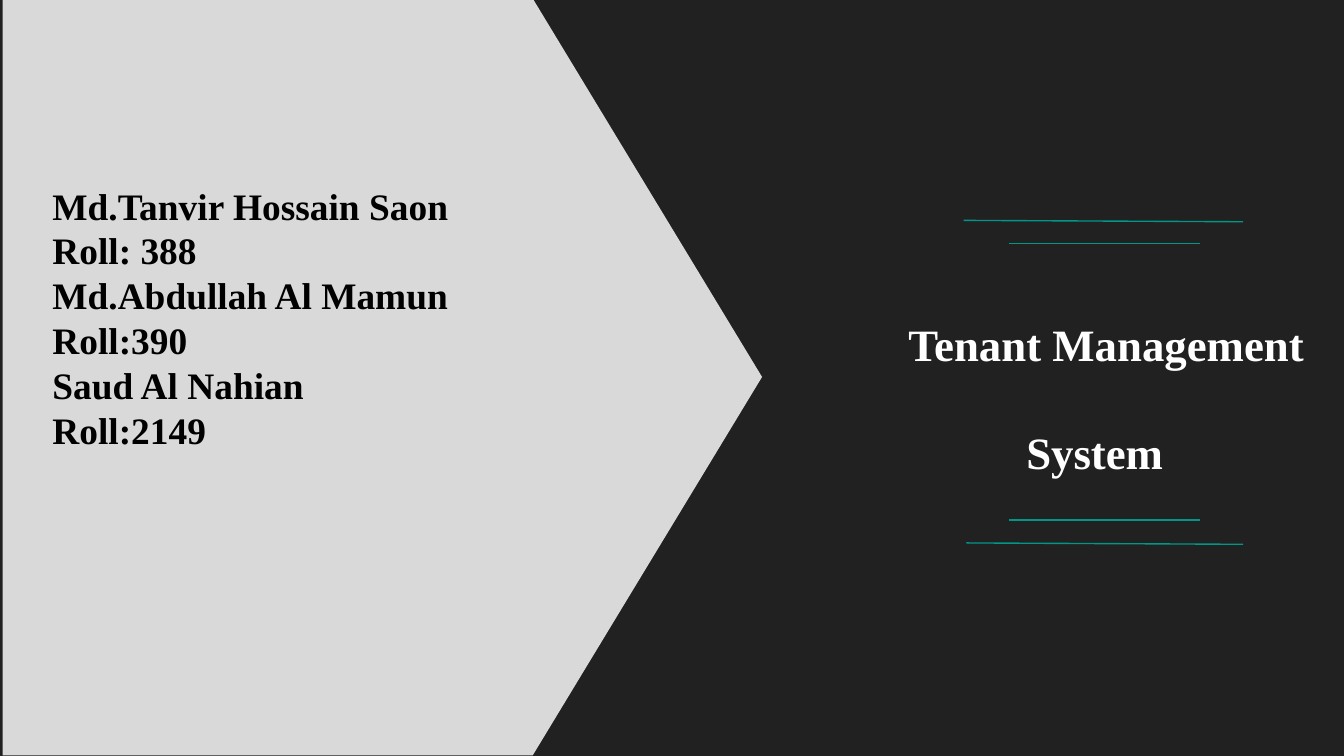
from pptx import Presentation
from pptx import util as u
from pptx.dml.color import RGBColor
from pptx.enum import shapes, text
from pptx.oxml.ns import qn
from lxml import etree

WIDTH = u.Inches(10)
HEIGHT = WIDTH * 9 // 16
DARK = RGBColor(0x21, 0x21, 0x21)
LIGHT = RGBColor(0xD9, 0xD9, 0xD9)
TEAL = RGBColor(0x00, 0x96, 0x88)
WHITE = RGBColor(0xFF, 0xFF, 0xFF)
BLACK = RGBColor(0x00, 0x00, 0x00)

# Rules above and below the title: x1, y1, x2, y2 in hundredths of an inch
RULES = [(751, 181, 893, 181), (751, 387, 893, 387),
         (719, 404, 925, 405), (717, 164, 925, 165)]
MEMBERS = [("Md.Tanvir Hossain Saon", "Roll: 388"),
           ("Md.Abdullah Al Mamun", "Roll:390"),
           ("Saud Al Nahian", "Roll:2149")]


def set_values(target, values):
    for name, value in values.items():
        setattr(target, name, value)


def grid(*units):
    """Turn hundredths of an inch into slide lengths."""
    return [u.Inches(unit / 100) for unit in units]


def add_banner(page):
    banner = page.shapes.add_shape(shapes.MSO_SHAPE.PENTAGON, *grid(2, -1, 565, 563))
    banner.adjustments[0] = 0.303
    banner.shadow.inherit = False
    banner.fill.solid()
    banner.fill.fore_color.rgb = LIGHT
    banner.line.fill.background()


def add_rule(page, ends):
    rule = page.shapes.add_connector(shapes.MSO_CONNECTOR.STRAIGHT, *grid(*ends))
    rule.line.color.rgb = TEAL
    rule.line.width = u.Pt(0.75)
    etree.SubElement(rule._element.spPr, qn("a:effectLst"))


def add_text(page, place, lines, size, color, inset, layout):
    """Add a bold text box with one paragraph per line and return its paragraphs."""
    box = page.shapes.add_textbox(*grid(*place))
    side, edge = grid(7, inset)
    set_values(box.text_frame, {
        "word_wrap": True, "vertical_anchor": text.MSO_ANCHOR.TOP,
        "margin_left": side, "margin_right": side,
        "margin_top": edge, "margin_bottom": edge, "text": "\n".join(lines)})
    for para in box.text_frame.paragraphs:
        set_values(para, layout)
        for span in para.runs:
            set_values(span.font, {"name": "Times New Roman", "size": u.Pt(size), "bold": True})
            span.font.color.rgb = color
    return box.text_frame.paragraphs


def add_title(page):
    first, second = add_text(page, (639, 232, 348, 113), ["Tenant Management", "System"],
                             24, WHITE, 4, {"alignment": text.PP_ALIGN.CENTER})
    first._p.get_or_add_pPr().set("marL", str(u.Inches(0.2)))
    second._p.get_or_add_pPr().set("marL", str(u.Inches(0.03)))
    second.space_before = u.Pt(29)


def main():
    deck = Presentation()
    set_values(deck, {"slide_width": WIDTH, "slide_height": HEIGHT})
    page = deck.slides.add_slide(deck.slide_layouts[6])
    page.background.fill.solid()
    page.background.fill.fore_color.rgb = DARK
    add_banner(page)
    for ends in RULES:
        add_rule(page, ends)
    add_title(page)
    add_text(page, (32, 129, 396, 216), [line for member in MEMBERS for line in member],
             20, BLACK, 7, {"alignment": text.PP_ALIGN.LEFT, "line_spacing": u.Pt(24)})
    deck.save("out.pptx")


if __name__ == "__main__":
    main()
